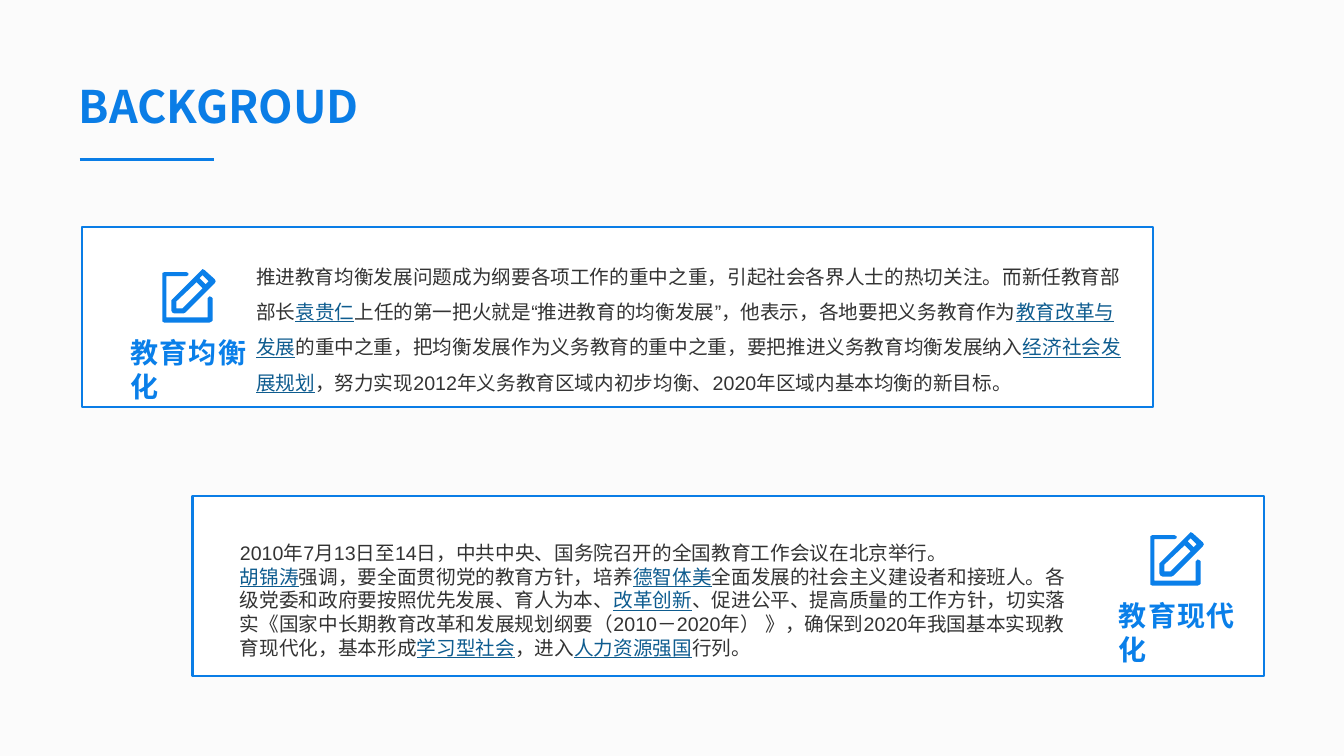
from dataclasses import dataclass

from lxml import etree
from pptx import Presentation
from pptx import util as u
from pptx.dml.color import RGBColor
from pptx.enum import shapes, text
from pptx.oxml.ns import qn

COLORS = {
    "page": "FBFBFB",
    "panel": "FFFFFF",
    "blue": "0A7DE6",
    "icon": "0A7FE9",
    "body": "333333",
    "term": "0E5C8F",
}
BODY_FONT = "Arial"
HEADING_FONT = "Noto Sans CJK SC"
TERM_MARK = "|"
PENCIL_ICON = [
    [(34, 13), (14, 32), (14, 39), (20, 39), (40, 19)],
    [(37, 9), (43, 15), (46, 12), (40, 6)],
    [(42, 1), (52, 10), (53, 12), (52, 14), (23, 43), (21, 43.5), (12, 43.5),
     (10, 43), (9, 41), (9, 31), (10, 30), (39, 1), (40.5, 0)],
    [(4, 48), (45, 48), (45, 29), (45.5, 27.5), (47, 27), (49, 27.5), (50, 29),
     (50, 51), (49, 52.5), (47, 53), (2, 53), (0.5, 52.5), (0, 51), (0, 5),
     (0.5, 3.5), (2, 3), (24, 3), (25.5, 3.5), (26, 5), (25.5, 6.5), (24, 7), (4, 7)],
]


@dataclass
class Area:
    left: float
    top: float
    width: float
    height: float

    def lengths(self) -> list:
        return [u.Inches(n) for n in (self.left, self.top, self.width, self.height)]


@dataclass
class Topic:
    panel: Area
    body: Area
    label: Area
    name: str
    paragraphs: list
    line_spacing: float


TOPICS = [
    Topic(
        Area(0.81, 2.25, 10.63, 1.79), Area(2.54, 2.51, 8.6, 1.37), Area(1.2, 3.28, 1.34, 0.77),
        "教育均衡化",
        ["推进教育均衡发展问题成为纲要各项工作的重中之重，引起社会各界人士的热切关注。"
         "而新任教育部部长|袁贵仁|上任的第一把火就是“推进教育的均衡发展”，他表示，"
         "各地要把义务教育作为|教育改革与发展|的重中之重，把均衡发展作为义务教育的重中之重，"
         "要把推进义务教育均衡发展纳入|经济社会发展规划|，努力实现2012年义务教育区域内初步均衡、"
         "2020年区域内基本均衡的新目标。"],
        1.5,
    ),
    Topic(
        Area(1.91, 4.92, 10.63, 1.79), Area(2.38, 5.37, 8.24, 1.18), Area(11, 5.89, 1.34, 0.77),
        "教育现代化",
        ["2010年7月13日至14日，中共中央、国务院召开的全国教育工作会议在北京举行。",
         "|胡锦涛|强调，要全面贯彻党的教育方针，培养|德智体美|全面发展的社会主义建设者和接班人。"
         "各级党委和政府要按照优先发展、育人为本、|改革创新|、促进公平、提高质量的工作方针，"
         "切实落实《国家中长期教育改革和发展规划纲要（2010－2020年） 》，"
         "确保到2020年我国基本实现教育现代化，基本形成|学习型社会|，进入|人力资源强国|行列。"],
        1.0,
    ),
]


def rgb(name: str) -> RGBColor:
    return RGBColor.from_string(COLORS[name])


def style_span(span, font: str, size: float, color: str, bold: bool = False) -> None:
    span.font.name = font
    span.font.size = u.Pt(size)
    span.font.bold = bold
    span.font.color.rgb = rgb(color)
    latin = span.font._element.find(qn("a:latin"))
    east_asian = etree.Element(qn("a:ea"), typeface=font)
    latin.addnext(east_asian)


def fill_heading(box, words: str, size: float, color: str) -> None:
    frame = box.text_frame
    frame.text = words
    frame.word_wrap = True
    frame.auto_size = text.MSO_AUTO_SIZE.SHAPE_TO_FIT_TEXT
    frame.vertical_anchor = text.MSO_ANCHOR.TOP
    para = frame.paragraphs[0]
    para.alignment = text.PP_ALIGN.JUSTIFY
    style_span(para.runs[0], HEADING_FONT, size, color, bold=True)


def add_title(page) -> None:
    title = page.shapes.title
    title.left, title.top, title.width, title.height = Area(0.68, 0.73, 4.26, 0.64).lengths()
    fill_heading(title, "BACKGROUD", 32, "blue")
    rule = page.shapes.add_connector(
        shapes.MSO_CONNECTOR.STRAIGHT,
        u.Inches(0.79), u.Inches(1.58), u.Inches(2.12), u.Inches(1.58),
    )
    rule.line.color.rgb = rgb("blue")
    rule.line.width = u.Pt(2)
    etree.SubElement(rule._element.spPr, qn("a:effectLst"))


def add_panel(page, area: Area) -> None:
    panel = page.shapes.add_shape(shapes.MSO_SHAPE.RECTANGLE, *area.lengths())
    panel.shadow.inherit = False
    panel.fill.solid()
    panel.fill.fore_color.rgb = rgb("panel")
    panel.line.color.rgb = rgb("blue")
    panel.line.width = u.Pt(1.5)


def add_body(page, topic: Topic) -> None:
    frame = page.shapes.add_textbox(*topic.body.lengths()).text_frame
    frame.word_wrap = True
    frame.auto_size = text.MSO_AUTO_SIZE.SHAPE_TO_FIT_TEXT
    frame.margin_left = frame.margin_right = frame.margin_top = frame.margin_bottom = 0
    for number, words in enumerate(topic.paragraphs):
        para = frame.add_paragraph() if number else frame.paragraphs[0]
        para.line_spacing = topic.line_spacing
        for index, piece in enumerate(words.split(TERM_MARK)):
            if not piece:
                continue
            is_term = index % 2 == 1
            span = para.add_run()
            span.text = piece
            style_span(span, BODY_FONT, 14, "term" if is_term else "body")
            span.font.underline = is_term


def add_badge(page, topic: Topic) -> None:
    badge = page.shapes.add_group_shape()
    first, *others = PENCIL_ICON
    builder = badge.shapes.build_freeform(*first[0], scale=u.Inches(0.01))
    builder.add_line_segments(first[1:], close=True)
    for contour in others:
        builder.move_to(*contour[0])
        builder.add_line_segments(contour[1:], close=True)
    icon = builder.convert_to_shape(
        u.Inches(topic.label.left + 0.41), u.Inches(topic.label.top - 0.61)
    )
    icon.shadow.inherit = False
    icon.fill.solid()
    icon.fill.fore_color.rgb = rgb("icon")
    icon.line.fill.background()
    label = badge.shapes.add_textbox(*topic.label.lengths())
    fill_heading(label, topic.name, 20, "icon")


def main() -> None:
    deck = Presentation()
    deck.slide_width, deck.slide_height = u.Inches(13.33), u.Inches(7.5)
    page = deck.slides.add_slide(deck.slide_layouts[5])
    page.background.fill.solid()
    page.background.fill.fore_color.rgb = rgb("page")
    add_title(page)
    for topic in TOPICS:
        add_panel(page, topic.panel)
        add_body(page, topic)
        add_badge(page, topic)
    deck.save("out.pptx")


if __name__ == "__main__":
    main()
